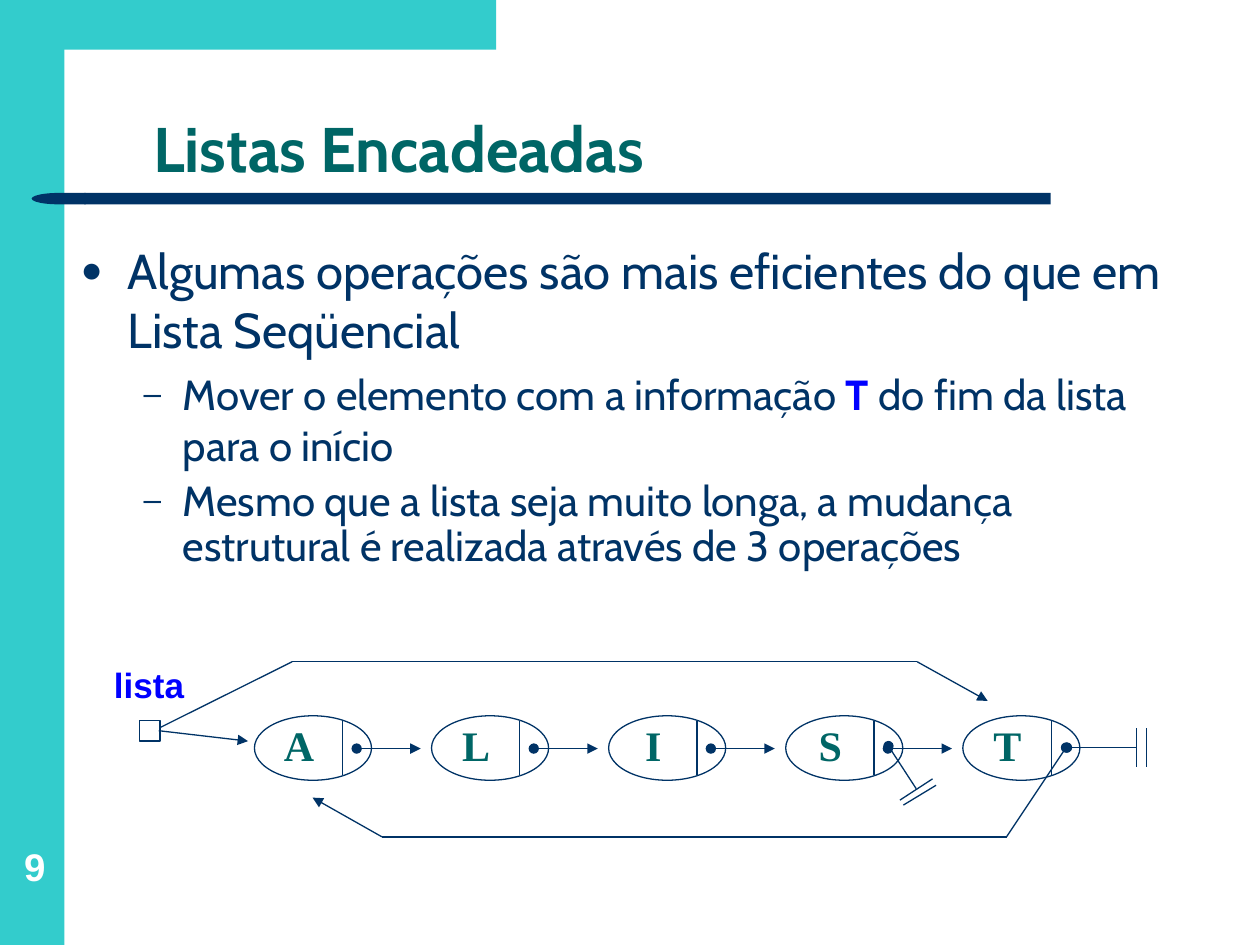
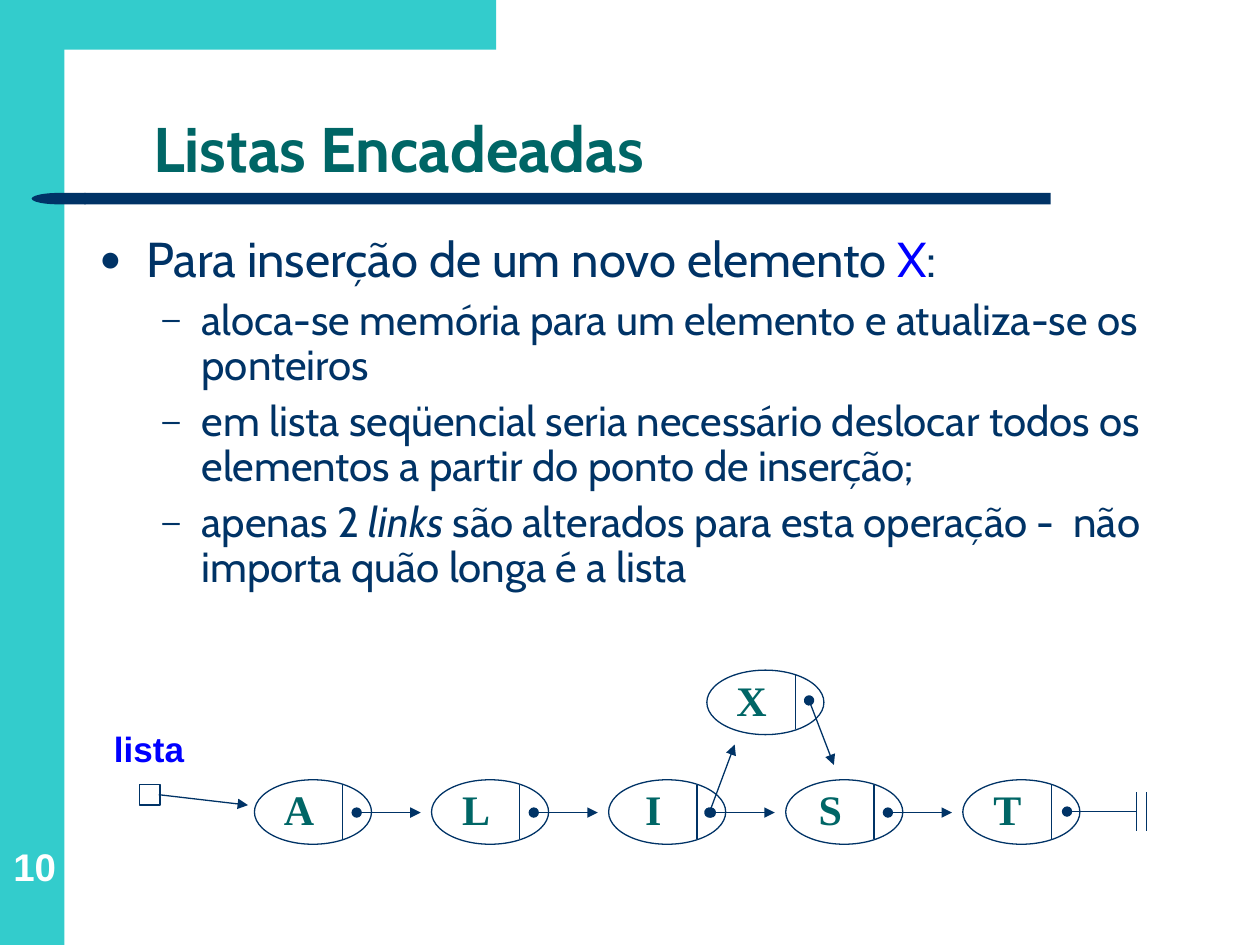
import math

import lxml.etree
import pptx
import pptx.dml.color
import pptx.enum.shapes
import pptx.enum.text
import pptx.oxml.ns
import pptx.util

Cm = pptx.util.Cm
SHAPE = pptx.enum.shapes.MSO_SHAPE
ANCHOR = pptx.enum.text.MSO_ANCHOR
ALIGN = pptx.enum.text.PP_ALIGN

TEAL, NAVY, GREEN, BLUE, WHITE = "33CCCC", "003366", "006666", "0000FF", "FFFFFF"

# Heights in the diagrams are measured from the top of the row of nodes.
# A route is (points, start mark, end mark); a paragraph is (level, line spacing, runs).
SLIDES = [
    {
        "number": "9",
        "title": "Listas Encadeadas",
        "body_box": (1.37, 4.72, 22.71, 8.61),
        "body": [
            (0, 1.0, [("Algumas operações são mais eficientes do que em Lista Seqüencial", {})]),
            (1, 1.0, [("Mover o elemento com a informação ", {}),
                      ("T", {"color": BLUE, "bold": True}),
                      (" do fim da lista para o início", {})]),
            (1, 0.9, [("Mesmo que a lista seja muito longa, a mudança estrutural "
                       "é realizada através de 3 operações", {})]),
        ],
        "row_top": 14.43,
        "new_nodes": [],
        "routes": [
            ([(3.1, 0.3), (5.89, -1.09), (18.49, -1.09), (19.91, -0.3)], None, "triangle"),
            ([(21.49, 0.64), (20.29, 2.44), (7.7, 2.44), (6.3, 1.65)], "oval", "triangle"),
            ([(17.91, 0.61), (18.47, 1.47)], "oval", None),
            ([(18.8, 1.27), (18.14, 1.7)], None, None),
            ([(18.87, 1.4), (18.21, 1.8)], None, None),
        ],
    },
    {
        "number": "10",
        "title": "Listas Encadeadas",
        "body_box": (1.75, 4.62, 22.76, 8.31),
        "body": [
            (0, 0.9, [("Para inserção de um novo elemento ", {}),
                      ("X", {"color": BLUE}), (":", {})]),
            (1, 0.9, [("aloca-se memória para um elemento e atualiza-se os ponteiros", {})]),
            (1, 0.9, [("em lista seqüencial seria necessário deslocar todos os "
                       "elementos a partir do ponto de inserção;", {})]),
            (1, 0.9, [("apenas 2 ", {}), ("links", {"italic": True}),
                      (" são alterados para esta operação -  não importa "
                       "quão longa é a lista", {})]),
        ],
        "row_top": 15.72,
        "new_nodes": [("X", 14.25, -2.21)],
        "routes": [
            ([(14.3, 0.66), (14.81, -0.71)], "oval", "triangle"),
            ([(16.31, -1.6), (16.81, -0.3)], "oval", "triangle"),
        ],
    },
]

LIST_LETTERS = "ALIST"
FIRST_NODE, NODE_PITCH = 5.13, 3.57
NODE_WIDTH, NODE_HEIGHT = 2.36, 1.3

# Per level: text size, space before, left margin, hanging indent, bullet
LEVELS = [(28, 7, 0.95, 0.95, "●"), (24, 6, 2.06, 0.79, "–")]


def rgb(color):
    return pptx.dml.color.RGBColor.from_string(color)


def add_xml(parent, tag, **attributes):
    return lxml.etree.SubElement(parent, pptx.oxml.ns.qn(tag), attributes)


def add_run(paragraph, text, size, font, color=NAVY, bold=False, italic=False):
    run = paragraph.add_run()
    run.text = text
    run.font.size = pptx.util.Pt(size)
    run.font.name = font
    run.font.color.rgb = rgb(color)
    run.font.bold = bold
    run.font.italic = italic


def place(shape, box):
    shape.left, shape.top, shape.width, shape.height = map(Cm, box)


def paint(shape, fill=None, line=None):
    shape.shadow.inherit = False
    if fill:
        shape.fill.solid()
        shape.fill.fore_color.rgb = rgb(fill)
    else:
        shape.fill.background()
    if line:
        shape.line.color.rgb = rgb(line)
        shape.line.width = pptx.util.Pt(0.75)
    else:
        shape.line.fill.background()


def add_figure(slide, kind, box, fill=None, line=None):
    figure = slide.shapes.add_shape(kind, *map(Cm, box))
    paint(figure, fill, line)
    return figure


def add_label(slide, text, box, size, font, color, inset=0.03, anchor=ANCHOR.TOP):
    frame = slide.shapes.add_textbox(*map(Cm, box)).text_frame
    frame.word_wrap = True
    frame.vertical_anchor = anchor
    frame.margin_left = frame.margin_right = Cm(inset)
    frame.margin_top = frame.margin_bottom = Cm(inset)
    frame.paragraphs[0].alignment = ALIGN.CENTER
    add_run(frame.paragraphs[0], text, size, font, color, bold=True)


def add_route(slide, top, points, start=None, end=None):
    """Join the points with straight lines, with marks at the two outer ends."""
    last = len(points) - 2
    for i, ((x1, y1), (x2, y2)) in enumerate(zip(points, points[1:])):
        stretch = slide.shapes.add_connector(
            pptx.enum.shapes.MSO_CONNECTOR.STRAIGHT,
            Cm(x1), Cm(top + y1), Cm(x2), Cm(top + y2))
        stretch.line.color.rgb = rgb(NAVY)
        stretch.line.width = pptx.util.Pt(0.75)
        outline = stretch.line.fill and stretch.element.spPr.find(pptx.oxml.ns.qn("a:ln"))
        if start and i == 0:
            add_xml(outline, "a:headEnd", type=start)
        if end and i == last:
            add_xml(outline, "a:tailEnd", type=end)
        add_xml(stretch.element.spPr, "a:effectLst")


def add_node(slide, letter, left, top):
    add_figure(slide, SHAPE.OVAL, (left, top, NODE_WIDTH, NODE_HEIGHT), line=NAVY)
    add_label(slide, letter, (left + 0.43, top + 0.05, 0.94, 1.02),
              24, "Times New Roman", GREEN)
    add_route(slide, top, [(left + 1.78, 0.1), (left + 1.78, 1.19)])


def add_linked_list(slide, top):
    add_label(slide, "lista", (1.8, top - 1.09, 2.41, 0.79), 20, "Arial", BLUE)
    add_figure(slide, SHAPE.RECTANGLE, (2.82, top + 0.1, 0.41, 0.41), WHITE, NAVY)
    add_route(slide, top, [(3.2, 0.3), (5.0, 0.51)], end="triangle")
    for i, letter in enumerate(LIST_LETTERS):
        left = FIRST_NODE + i * NODE_PITCH
        add_node(slide, letter, left, top)
        if i < len(LIST_LETTERS) - 1:
            add_route(slide, top, [(left + 2.06, 0.66), (left + 3.35, 0.66)],
                      "oval", "triangle")
    add_route(slide, top, [(21.51, 0.64), (22.91, 0.64)], "oval")
    for bar in (22.91, 23.11):
        add_route(slide, top, [(bar, 0.25), (bar, 1.04)])


def add_corner_band(slide):
    """Top band whose lower edge curves into the side band."""
    curve = [(2.18 - 0.89 * math.sin(a), 1.58 - 0.45 * math.cos(a))
             for a in (math.radians(step) for step in range(0, 91, 6))]
    outline = [(9.73, 0), (9.73, 1.13), *curve, (1.29, 1.73), (0.23, 1.73), (0.23, 0)]
    builder = slide.shapes.build_freeform(*outline[0], scale=Cm(1))
    builder.add_line_segments(outline[1:], close=True)
    band = builder.convert_to_shape()
    paint(band, TEAL)
    return band


def decorate_layout(layout, slide):
    """Draw the bands on a slide, then move them behind the layout's placeholders."""
    bands = [
        add_figure(slide, SHAPE.RECTANGLE, (0, 0.05, 1.3, 19), TEAL),
        add_corner_band(slide),
        add_figure(slide, SHAPE.RECTANGLE, (1.7, 3.89, 19.48, 0.23), NAVY),
        add_figure(slide, SHAPE.FLOWCHART_DELAY, (0.64, 3.89, 1.09, 0.23), NAVY),
    ]
    bands[-1].element.spPr.find(pptx.oxml.ns.qn("a:xfrm")).set("flipH", "1")
    for position, band in enumerate(bands, start=2):
        layout.shapes.element.insert(position, band.element)


def fill_title(title, text):
    place(title, (2.31, 1.12, 21.62, 2.77))
    frame = title.text_frame
    frame.auto_size = pptx.enum.text.MSO_AUTO_SIZE.NONE
    frame.vertical_anchor = ANCHOR.BOTTOM
    frame.margin_left = Cm(0.78)
    heading = frame.paragraphs[0]
    heading.alignment = ALIGN.LEFT
    heading.line_spacing = 0.9
    add_run(heading, text, 36, "Cabin", GREEN, bold=True)


def fill_body(body, box, paragraphs):
    place(body, box)
    frame = body.text_frame
    frame.auto_size = pptx.enum.text.MSO_AUTO_SIZE.NONE
    for i, (level, spacing, runs) in enumerate(paragraphs):
        size, before, margin, hanging, bullet = LEVELS[level]
        item = frame.add_paragraph() if i else frame.paragraphs[0]
        item.level = level
        item.line_spacing = spacing
        item.space_before = pptx.util.Pt(before)
        properties = item._p.get_or_add_pPr()
        properties.set("marL", str(Cm(margin)))
        properties.set("indent", str(-Cm(hanging)))
        add_xml(add_xml(properties, "a:buClr"), "a:srgbClr", val=NAVY)
        add_xml(properties, "a:buSzPct", val="75000")
        add_xml(properties, "a:buFont", typeface="Arial")
        add_xml(properties, "a:buChar", char=bullet)
        for text, style in runs:
            add_run(item, text, size, "Cabin", **style)


def main():
    deck = pptx.Presentation()
    deck.slide_width, deck.slide_height = Cm(25.4), Cm(19.05)
    layout = deck.slide_layouts[1]
    for i, content in enumerate(SLIDES):
        slide = deck.slides.add_slide(layout)
        if i == 0:
            decorate_layout(layout, slide)
        add_label(slide, content["number"], (0.08, 16.56, 1.24, 1.37),
                  22, "Arial", WHITE, inset=0, anchor=ANCHOR.BOTTOM)
        fill_title(slide.shapes.title, content["title"])
        fill_body(slide.placeholders[1], content["body_box"], content["body"])
        top = content["row_top"]
        for points, start, end in content["routes"]:
            add_route(slide, top, points, start, end)
        add_linked_list(slide, top)
        for letter, left, rise in content["new_nodes"]:
            add_node(slide, letter, left, top + rise)
    deck.save("out.pptx")


if __name__ == "__main__":
    main()
